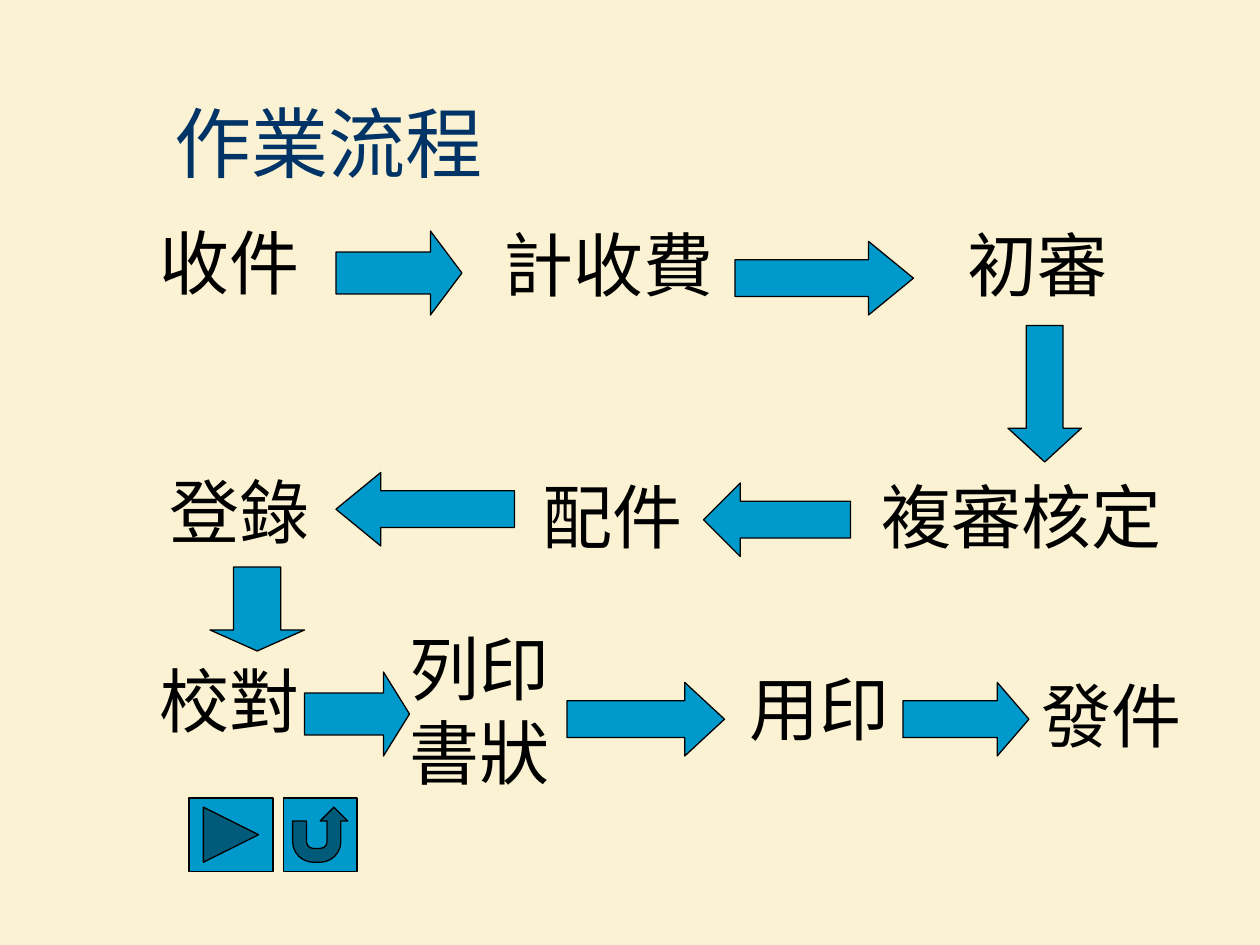
import dataclasses

import pptx
import pptx.dml.color
import pptx.enum.shapes
import pptx.enum.text
import pptx.util

SHAPE = pptx.enum.shapes.MSO_SHAPE
COLUMNS, ROWS = 120, 90


@dataclasses.dataclass(frozen=True)
class Theme:
    """Colours, fonts and sizes of the slide."""
    background: str = "FAF2D2"
    title: str = "003366"
    text: str = "000000"
    fill: str = "0099CC"
    line: str = "000000"
    font: str = "Times New Roman"
    stamp_font: str = "Roboto"
    title_size: int = 44
    step_size: int = 40
    line_width: float = 0.75


@dataclasses.dataclass(frozen=True)
class Box:
    """A rectangle measured in columns and rows of the slide grid."""
    left: float
    top: float
    width: float
    height: float

    def cell(self, left, top, width, height):
        """Return a box placed relative to this one."""
        return Box(self.left + left, self.top + top, width, height)

    def lengths(self):
        """Return left, top, width and height as slide lengths."""
        across = pptx.util.Inches(10) / COLUMNS
        down = pptx.util.Inches(7.5) / ROWS
        return [round(share * unit) for share, unit in zip(
            (self.left, self.top, self.width, self.height),
            (across, down, across, down))]


THEME = Theme()


def colour(code):
    """Turn a hex code into a colour."""
    return pptx.dml.color.RGBColor.from_string(code)


def write(frame, text, size, code, font):
    """Write one left-aligned run into a text frame."""
    frame.word_wrap = True
    para = frame.paragraphs[0]
    para.alignment = pptx.enum.text.PP_ALIGN.LEFT
    span = para.add_run()
    span.text = text
    span.font.size = pptx.util.Pt(size)
    span.font.name = font
    span.font.color.rgb = colour(code)


def add_title(page, box, text):
    """Place the slide title in its placeholder."""
    title = page.shapes.title
    title.left, title.top, title.width, title.height = box.lengths()
    title.text_frame.vertical_anchor = pptx.enum.text.MSO_ANCHOR.MIDDLE
    write(title.text_frame, text, THEME.title_size, THEME.title, THEME.font)


def add_step(page, box, text, font=THEME.font):
    """Place the name of one step."""
    frame = page.shapes.add_textbox(*box.lengths()).text_frame
    write(frame, text, THEME.step_size, THEME.text, font)
    frame.auto_size = pptx.enum.text.MSO_AUTO_SIZE.SHAPE_TO_FIT_TEXT


def add_figure(page, box, kind):
    """Draw one filled and outlined preset shape."""
    figure = page.shapes.add_shape(kind, *box.lengths())
    figure.shadow.inherit = False
    figure.fill.solid()
    figure.fill.fore_color.rgb = colour(THEME.fill)
    figure.line.color.rgb = colour(THEME.line)
    figure.line.width = pptx.util.Pt(THEME.line_width)
    return figure


def add_flow_row(page, box, steps, arrows):
    """Place one row of steps and the arrows that lead out of them."""
    for place, *wording in steps:
        add_step(page, box.cell(*place), *wording)
    for kind, place, head in arrows:
        arrow = add_figure(page, box.cell(*place), kind)
        arrow.adjustments[0] = 0.5
        arrow.adjustments[1] = head


def add_buttons(page, box):
    """Place the navigation buttons side by side."""
    add_figure(page, box.cell(0, 0, 8, 7), SHAPE.ACTION_BUTTON_FORWARD_OR_NEXT)
    add_figure(page, box.cell(9, 0, 7, 7), SHAPE.ACTION_BUTTON_RETURN)


def main():
    """Build the workflow slide and save it."""
    deck = pptx.Presentation()
    deck.slide_width = pptx.util.Inches(10)
    deck.slide_height = pptx.util.Inches(7.5)
    page = deck.slides.add_slide(deck.slide_layouts[5])
    page.background.fill.solid()
    page.background.fill.fore_color.rgb = colour(THEME.background)

    add_title(page, Box(15.4, 6, 102, 15), "作業流程")
    add_flow_row(
        page, Box(0, 20, COLUMNS, 24),
        [((14, 0.3, 17, 9.2), "收件"),
         ((46.8, 0.5, 27, 9.2), "計收費"),
         ((91, 0.5, 19.8, 9.2), "初審")],
        [(SHAPE.RIGHT_ARROW, (32, 2, 12, 8), 0.375),
         (SHAPE.RIGHT_ARROW, (70, 3, 17, 7), 0.61),
         (SHAPE.DOWN_ARROW, (96, 11, 7, 13), 0.46)])
    add_flow_row(
        page, Box(0, 44, COLUMNS, 18),
        [((82.8, 0.5, 33, 9.2), "複審核定"),
         ((50.5, 0.5, 19.4, 9.2), "配件"),
         ((15, 0, 21.5, 9.2), "登錄")],
        [(SHAPE.LEFT_ARROW, (67, 2, 14, 7), 0.5),
         (SHAPE.LEFT_ARROW, (32, 1, 17, 7), 0.61),
         (SHAPE.DOWN_ARROW, (20, 10, 9, 8), 0.25)])
    add_flow_row(
        page, Box(0, 59, COLUMNS, 17),
        [((14, 3, 26.3, 9.2), "校對"),
         ((37.8, 0, 20, 17.2), "列印書狀"),
         ((70.2, 3.8, 15.7, 9.2), "用印", THEME.stamp_font),
         ((98, 4.5, 17.3, 9.2), "發件")],
        [(SHAPE.RIGHT_ARROW, (29, 5, 10, 8), 0.31),
         (SHAPE.RIGHT_ARROW, (54, 6, 15, 7), 0.54),
         (SHAPE.RIGHT_ARROW, (86, 6, 12, 7), 0.43)])
    add_buttons(page, Box(18, 76, 16, 7))
    deck.save("out.pptx")


if __name__ == "__main__":
    main()
